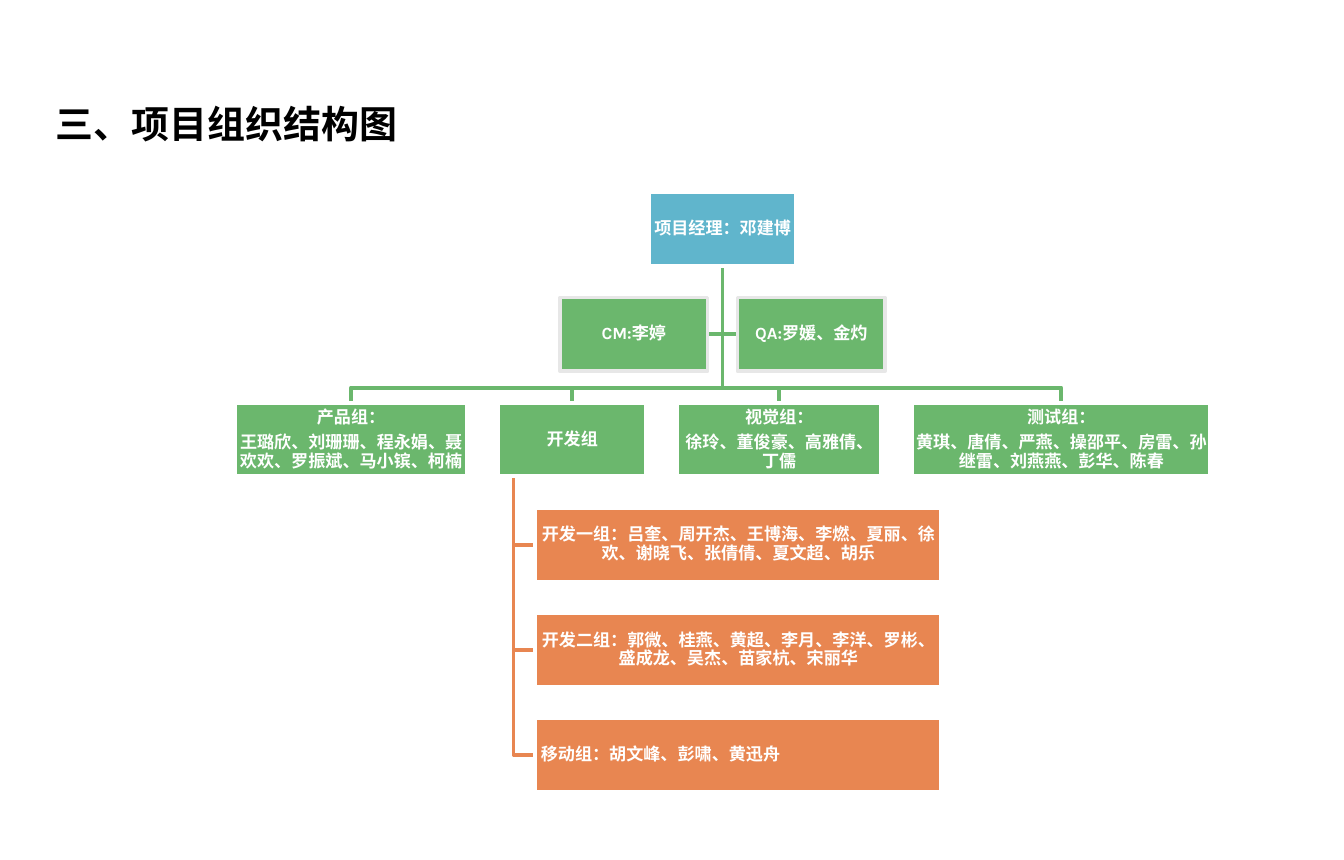
import pptx
import pptx.util
import pptx.dml.color
import pptx.enum.shapes
import pptx.enum.text
import pptx.oxml.ns
import lxml.etree
from collections import namedtuple

# Content
TITLE = "三、项目组织结构图"
MANAGER = "项目经理：邓建博"
STAFF = ["CM:李婷", "QA:罗媛、金灼"]
GROUPS = [  # width, paragraphs
    (1.70, ["产品组：", "王璐欣、刘珊珊、程永娟、聂欢欢、罗振斌、马小镔、柯楠"]),
    (1.08, ["开发组"]),
    (1.49, ["视觉组：", "徐玲、董俊豪、高雅倩、丁儒"]),
    (2.18, ["测试组：", "黄琪、唐倩、严燕、操邵平、房雷、孙继雷、刘燕燕、彭华、陈春"]),
]
DEV_GROUP = 1
DEV_TEAMS = [
    ("开发一组：吕奎、周开杰、王博海、李燃、夏丽、徐欢、谢晓飞、张倩倩、夏文超、胡乐", "CENTER"),
    ("开发二组：郭微、桂燕、黄超、李月、李洋、罗彬、盛成龙、吴杰、苗家杭、宋丽华", "CENTER"),
    ("移动组：胡文峰、彭啸、黄迅舟", "LEFT"),
]

THEME = dict(manager="60B5CC", group="6BB76D", team="E88651", staff_edge="E7E7E7",
             white="FFFFFF", black="000000", title_size=20, box_size=9, line=2,
             latin="Karla", cjk="Noto Sans CJK SC")

# Grid, in inches
TOP, ROW_STEP, BOX_W, BOX_H = 1.41, 0.77, 1.08, 0.54
GROUPS_LEFT, GROUP_GAP, TEAM_W = 1.72, 0.23, 2.97
STEM = 0.11            # short connector length
TEAM_INDENT = 0.27     # team boxes, right of their parent's left edge

Box = namedtuple("Box", "left row width")
inch, pt = pptx.util.Inches, pptx.util.Pt
ALIGN = pptx.enum.text.PP_ALIGN
MIDDLE = pptx.enum.text.MSO_ANCHOR.MIDDLE


def rgb(name):
    return pptx.dml.color.RGBColor.from_string(THEME[name])


def top(box):
    return TOP + box.row * ROW_STEP


def bottom(box):
    return top(box) + BOX_H


def centre_x(box):
    return box.left + box.width / 2


def centre_y(box):
    return top(box) + BOX_H / 2


def style_text(paragraph, latin, size, colour):
    font = paragraph.font
    font.name, font.size, font.bold = latin, pt(size), True
    font.color.rgb = rgb(colour)
    qn = pptx.oxml.ns.qn
    defaults = paragraph._p.find(".//" + qn("a:defRPr"))
    lxml.etree.SubElement(defaults, qn("a:ea")).set("typeface", THEME["cjk"])


def draw_box(box, lines, fill, edge="white", align="CENTER"):
    shape = slide.shapes.add_shape(
        pptx.enum.shapes.MSO_SHAPE.RECTANGLE,
        inch(box.left), inch(top(box)), inch(box.width), inch(BOX_H))
    shape.shadow.inherit = False
    shape.fill.solid()
    shape.fill.fore_color.rgb = rgb(fill)
    shape.line.color.rgb = rgb(edge)
    shape.line.width = pt(THEME["line"])
    frame = shape.text_frame
    frame.word_wrap, frame.vertical_anchor = True, MIDDLE
    frame.margin_left = inch(0.04 if align == "LEFT" else 0.01)
    frame.margin_right = frame.margin_top = frame.margin_bottom = inch(0.01)
    frame.text = "\n".join(lines)
    for paragraph in frame.paragraphs:
        paragraph.alignment = ALIGN[align]
        paragraph.line_spacing = 0.9
        paragraph.space_after = pt(3.7)
        style_text(paragraph, THEME["latin"], THEME["box_size"], "white")


def draw_branch(points, colour):
    corners = [(inch(x), inch(y)) for x, y in points]
    builder = slide.shapes.build_freeform(*corners[0])
    builder.add_line_segments(corners[1:], close=False)
    branch = builder.convert_to_shape()
    branch.shadow.inherit = False
    branch.fill.background()
    branch.line.color.rgb = rgb(colour)
    branch.line.width = pt(THEME["line"])


deck = pptx.Presentation()
deck.slide_width, deck.slide_height = inch(9.84), inch(6.3)
slide = deck.slides.add_slide(deck.slide_layouts[5])

# Title
title = slide.shapes.title
title.left, title.top, title.width, title.height = map(inch, (0.31, 0.68, 8.82, 0.45))
title.text_frame.text = TITLE
title.text_frame.vertical_anchor = MIDDLE
title.text_frame.auto_size = pptx.enum.text.MSO_AUTO_SIZE.NONE
heading = title.text_frame.paragraphs[0]
heading.alignment = ALIGN.LEFT
style_text(heading, THEME["cjk"], THEME["title_size"], "black")

# Places: groups side by side, manager centred above, staff either side of the trunk
groups, left = [], GROUPS_LEFT
for width, _ in GROUPS:
    groups.append(Box(left, 2, width))
    left += width + GROUP_GAP
trunk = (groups[0].left + groups[-1].left + groups[-1].width) / 2
manager = Box(trunk - BOX_W / 2, 0, BOX_W)
staff = [Box(trunk - STEM - BOX_W, 1, BOX_W), Box(trunk + STEM, 1, BOX_W)]
dev = groups[DEV_GROUP]
teams = [Box(dev.left + TEAM_INDENT, 3 + i, TEAM_W) for i in range(len(DEV_TEAMS))]

# Branches
start = (trunk, bottom(manager))
for box, side in zip(staff, (-1, 1)):
    draw_branch([start, (trunk, centre_y(box)), (trunk + side * STEM, centre_y(box))], "group")
for box in groups:
    bus = top(box) - STEM
    draw_branch([start, (trunk, bus), (centre_x(box), bus), (centre_x(box), top(box))], "group")
spine = dev.left + STEM
for box in teams:
    draw_branch([(spine, bottom(dev)), (spine, centre_y(box)), (box.left, centre_y(box))], "team")

# Boxes
draw_box(manager, [MANAGER], "manager")
for box, person in zip(staff, STAFF):
    draw_box(box, [person], "group", edge="staff_edge")
for box, (_, lines) in zip(groups, GROUPS):
    draw_box(box, lines, "group")
for box, (members, align) in zip(teams, DEV_TEAMS):
    draw_box(box, [members], "team", align=align)

deck.save("out.pptx")
